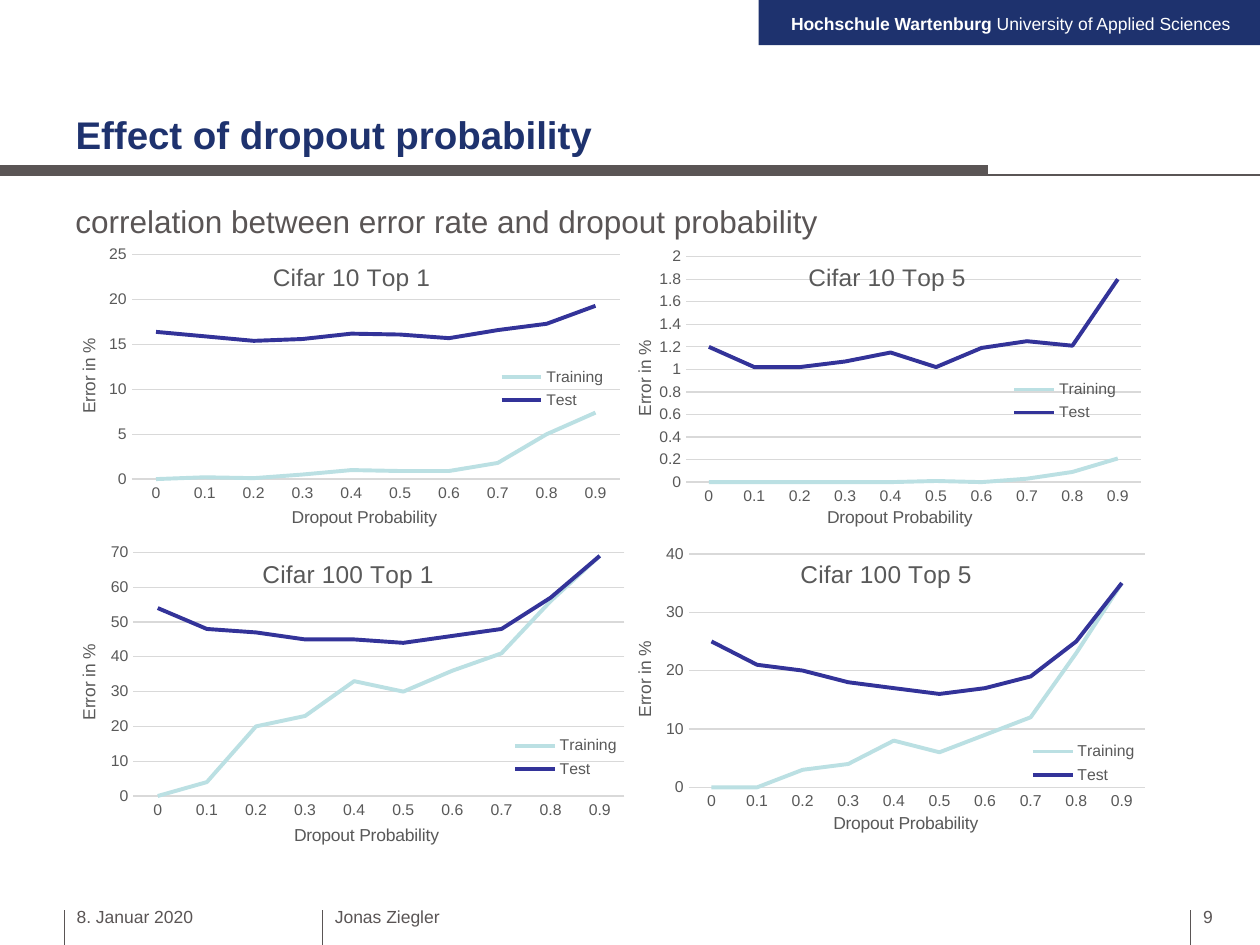
import lxml.etree
import pptx
import pptx.chart.data
import pptx.dml.color
import pptx.enum.chart
import pptx.enum.shapes
import pptx.enum.text
import pptx.oxml.ns
import pptx.util

COLORS = {
    "navy": "1E326E",
    "grey": "5A5555",
    "label": "595959",
    "grid": "D9D9D9",
    "training": "BBE0E3",
    "test": "333399",
    "white": "FFFFFF",
}
FONT = "Arial"
COLUMNS, ROWS = 100, 75
CELL = pptx.util.Inches(0.1)
CATEGORIES = [f"{step / 10:g}" for step in range(10)]
LEGEND_SIZE = (8.7, 4.1)

CHARTS = [
    {
        "title": "Cifar 10 Top 1", "box": (5.9, 19.5, 44.1, 22.8),
        "plot": (0.103, 0.031, 0.879, 0.796), "scale": (25, 5),
        "title_at": (21.3, 20.4), "category_at": (22.9, 40.3),
        "value_at": (5.9, 26.8), "legend_at": (39.5, 29),
        "training": [0, 0.2, 0.1, 0.5, 1, 0.9, 0.9, 1.8, 5, 7.4],
        "test": [16.4, 15.9, 15.4, 15.6, 16.2, 16.1, 15.7, 16.6, 17.3, 19.3],
    },
    {
        "title": "Cifar 10 Top 5", "box": (50, 19.5, 40.9, 22.8),
        "plot": (0.109, 0.039, 0.882, 0.799), "scale": (2, 0.2),
        "title_at": (63.8, 20.4), "category_at": (65.4, 40.3),
        "value_at": (50, 27), "legend_at": (80.2, 30),
        "training": [0, 0, 0, 0, 0, 0.01, 0, 0.03, 0.09, 0.21],
        "test": [1.2, 1.02, 1.02, 1.07, 1.15, 1.02, 1.19, 1.25, 1.21, 1.8],
    },
    {
        "title": "Cifar 100 Top 1", "box": (5.9, 43.1, 43.7, 24.4),
        "plot": (0.107, 0.031, 0.893, 0.799), "scale": (70, 10),
        "title_at": (20.5, 44), "category_at": (23.1, 65.3),
        "value_at": (5.9, 51), "legend_at": (40.6, 58.2),
        "training": [0, 4, 20, 23, 33, 30, 36, 41, 56, 69],
        "test": [54, 48, 47, 45, 45, 44, 46, 48, 57, 69],
    },
    {
        "title": "Cifar 100 Top 5", "box": (50, 43.1, 40.9, 23.5),
        "plot": (0.114, 0.037, 0.886, 0.792), "scale": (40, 10),
        "title_at": (63.2, 44), "category_at": (65.9, 64.3),
        "value_at": (50, 50.7), "legend_at": (81.7, 58.6),
        "training": [0, 0, 3, 4, 8, 6, 9, 12, 23, 35],
        "test": [25, 21, 20, 18, 17, 16, 17, 19, 25, 35],
    },
]


def cells(*counts):
    return [round(count * CELL) for count in counts]


def rgb(name):
    return pptx.dml.color.RGBColor.from_string(COLORS[name])


def set_font(font, size, color, bold=False):
    font.name = FONT
    font.size = pptx.util.Pt(size)
    font.bold = bold
    font.color.rgb = rgb(color)


def write_text(text_frame, text, size=10, color="grey", bold=False):
    run = text_frame.paragraphs[0].add_run()
    run.text = text
    set_font(run.font, size, color, bold)


def set_line(line, color, width=0.75):
    line.color.rgb = rgb(color)
    line.width = pptx.util.Pt(width)


def add_bar(slide, box, color):
    shape = slide.shapes.add_shape(pptx.enum.shapes.MSO_SHAPE.RECTANGLE, *cells(*box))
    shape.shadow.inherit = False
    shape.fill.solid()
    shape.fill.fore_color.rgb = rgb(color)
    shape.line.fill.background()


def add_rule(slide, *ends):
    connector = slide.shapes.add_connector(
        pptx.enum.shapes.MSO_CONNECTOR.STRAIGHT, *cells(*ends))
    set_line(connector.line, "grey")
    properties = connector._element.spPr
    lxml.etree.SubElement(properties, pptx.oxml.ns.qn("a:effectLst"))


def add_text_box(slide, box):
    text_frame = slide.shapes.add_textbox(*cells(*box)).text_frame
    text_frame.word_wrap = True
    return text_frame


def place(element, index, mode, **shares):
    qn = pptx.oxml.ns.qn
    for old in element.findall(qn("c:layout")):
        element.remove(old)
    layout = lxml.etree.Element(qn("c:layout"))
    manual = lxml.etree.SubElement(layout, qn("c:manualLayout"))
    if mode == "inner":
        lxml.etree.SubElement(manual, qn("c:layoutTarget"), val=mode)
    for key in ("xMode", "yMode"):
        lxml.etree.SubElement(manual, qn(f"c:{key}"), val="edge")
    for key, share in shares.items():
        lxml.etree.SubElement(manual, qn(f"c:{key}"), val=f"{share:.4f}")
    element.insert(index, layout)


def add_line_chart(slide, settings):
    left, top, width, height = settings["box"]

    def place_at(element, position, **size):
        column, row = position
        place(element, 1, "outer", x=(column - left) / width,
              y=(row - top) / height, **size)

    def add_chart_text(title, text, position, size=10):
        write_text(title.text_frame, text, size, "label")
        place_at(title._element, position)

    data = pptx.chart.data.CategoryChartData()
    data.categories = CATEGORIES
    for name in ("training", "test"):
        data.add_series(name.title(), settings[name])
    chart = slide.shapes.add_chart(
        pptx.enum.chart.XL_CHART_TYPE.LINE, *cells(*settings["box"]), data).chart
    set_font(chart.font, 9, "label")
    add_chart_text(chart.chart_title, settings["title"], settings["title_at"], 14)
    chart.chart_title.include_in_layout = False

    plot = chart.plots[0]
    plot.vary_by_categories = False
    for series in plot.series:
        series.smooth = False
        series.marker.style = pptx.enum.chart.XL_MARKER_STYLE.NONE
        set_line(series.format.line, series.name.lower(), 2.25)
    place(chart._chartSpace.chart.plotArea, 0, "inner",
          **dict(zip("xywh", settings["plot"])))

    category_axis, value_axis = chart.category_axis, chart.value_axis
    for axis in (category_axis, value_axis):
        axis.major_tick_mark = pptx.enum.chart.XL_TICK_MARK.NONE
        axis.minor_tick_mark = pptx.enum.chart.XL_TICK_MARK.NONE
        set_font(axis.tick_labels.font, 9, "label")
    set_line(category_axis.format.line, "grid")
    add_chart_text(category_axis.axis_title, "Dropout Probability", settings["category_at"])
    add_chart_text(value_axis.axis_title, "Error in %", settings["value_at"])
    value_axis.axis_title.text_frame._txBody.bodyPr.set("rot", "-5400000")
    value_axis.minimum_scale = 0
    value_axis.maximum_scale, value_axis.major_unit = settings["scale"]
    value_axis.tick_labels.number_format = "General"
    value_axis.tick_labels.number_format_is_linked = False
    value_axis.format.line.fill.background()
    set_line(value_axis.major_gridlines.format.line, "grid")

    chart.has_legend = True
    chart.legend.include_in_layout = False
    set_font(chart.legend.font, 9, "label")
    place_at(chart.legend._element, settings["legend_at"],
             w=LEGEND_SIZE[0] / width, h=LEGEND_SIZE[1] / height)


def add_header(slide):
    add_bar(slide, (60.2, 0, 39.8, 3.6), "navy")
    add_bar(slide, (0, 13.1, 78.4, 0.8), "grey")
    add_rule(slide, 0, 13.9, COLUMNS, 13.9)
    banner = add_text_box(slide, (61.8, 0.5, 37, 2.7))
    banner.vertical_anchor = pptx.enum.text.MSO_ANCHOR.MIDDLE
    write_text(banner, "Hochschule Wartenburg", color="white", bold=True)
    write_text(banner, " University of Applied Sciences", color="white")


def add_title(slide, text):
    title = slide.shapes.title
    title.left, title.top, title.width, title.height = cells(5, 3.6, 73.4, 9.4)
    title.text_frame.vertical_anchor = pptx.enum.text.MSO_ANCHOR.BOTTOM
    title.text_frame.paragraphs[0].alignment = pptx.enum.text.PP_ALIGN.LEFT
    write_text(title.text_frame, text, 22, "navy", True)


def add_footer(slide):
    for column, width, text in ((5.1, 18.1, "8. Januar 2020"),
                                (25.6, 38.6, "Jonas Ziegler"),
                                (94.5, 5.5, "9")):
        add_rule(slide, column, ROWS, column, 72.2)
        write_text(add_text_box(slide, (column, 71.4, width, 3.6)), text)


def main():
    presentation = pptx.Presentation()
    presentation.slide_width, presentation.slide_height = cells(COLUMNS, ROWS)
    slide = presentation.slides.add_slide(presentation.slide_layouts[5])
    add_header(slide)
    add_title(slide, "Effect of dropout probability")
    write_text(add_text_box(slide, (5, 15.5, 89.1, 53.5)),
               "correlation between error rate and dropout probability", 18)
    add_footer(slide)
    for settings in CHARTS:
        add_line_chart(slide, settings)
    presentation.save("out.pptx")


if __name__ == "__main__":
    main()
